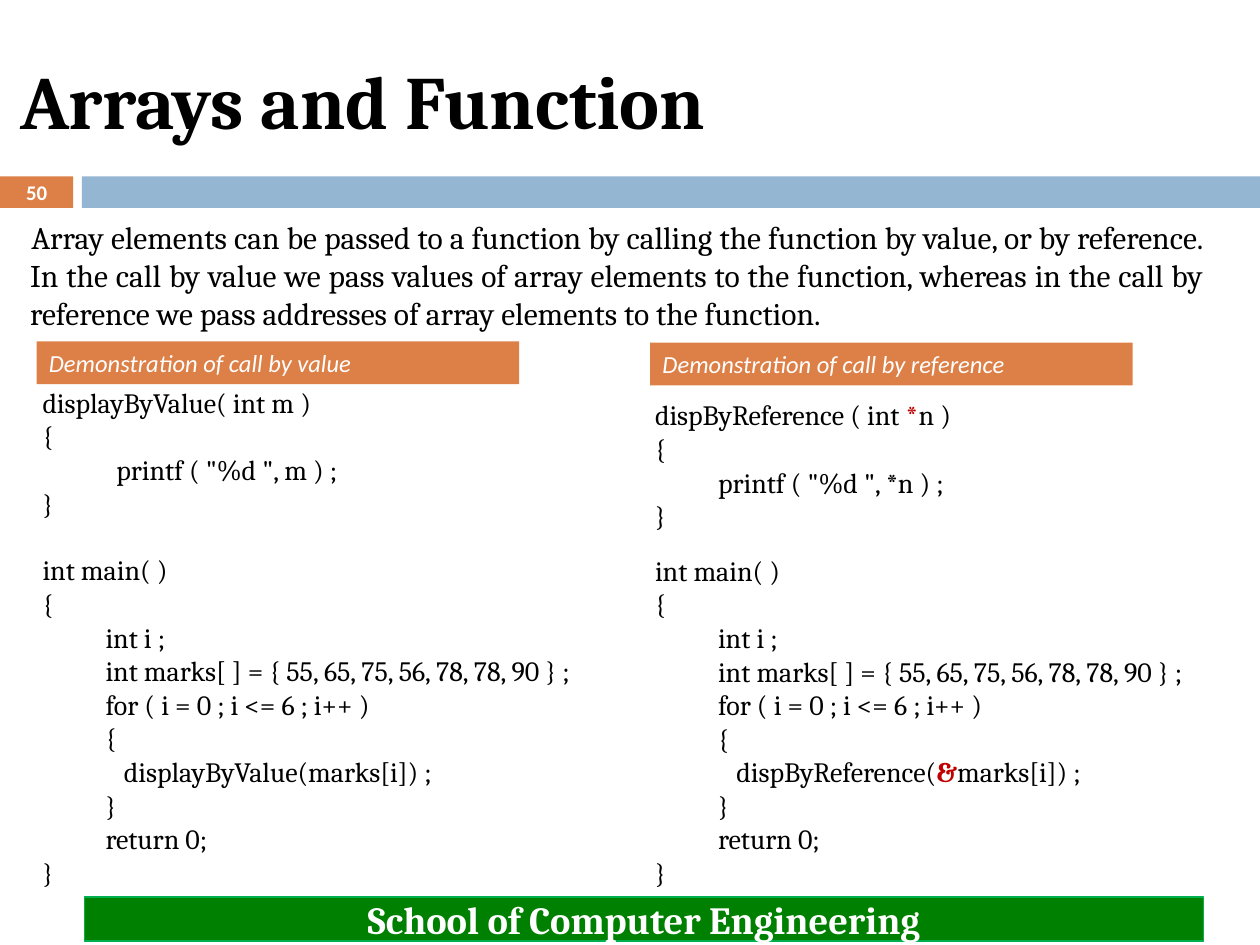
import pptx
import pptx.dml.color
import pptx.enum.shapes
import pptx.enum.text
import pptx.util

Pt = pptx.util.Pt
ALIGN = pptx.enum.text.PP_ALIGN
ANCHOR = pptx.enum.text.MSO_ANCHOR

COLORS = {
    "black": "000000",
    "white": "FFFFFF",
    "orange": "DD8047",
    "blue": "94B6D2",
    "green": "008000",
    "green_edge": "00B050",
    "red": "C00000",
}
OUTER_INDENT, INNER_INDENT, FIRST_LINE = 4.3, 40.3, 0.7


def color(name):
    return pptx.dml.color.RGBColor.from_string(COLORS[name])


def write_text(frame, text, size, font="Cambria", ink="black", bold=False, italic=False,
               align=ALIGN.LEFT, before=0, after=0, indent=None):
    """Add one paragraph; text is a string or a list of (string, is_marked) runs."""
    is_first = not frame.paragraphs[0].runs
    paragraph = frame.paragraphs[0] if is_first else frame.add_paragraph()
    paragraph.alignment = align
    paragraph.space_before = Pt(0 if is_first else before)
    paragraph.space_after = Pt(after)
    if indent is not None:
        properties = paragraph._p.get_or_add_pPr()
        properties.set("marL", str(Pt(indent)))
        properties.set("indent", str(Pt(FIRST_LINE)))
    for string, is_marked in [(text, False)] if isinstance(text, str) else text:
        run = paragraph.add_run()
        run.text = string
        run.font.name = font
        run.font.size = Pt(size)
        run.font.bold = bold or is_marked
        run.font.italic = italic
        run.font.color.rgb = color("red" if is_marked else ink)


def add_box(slide, left, top, width, height, fill, line=None):
    shape = slide.shapes.add_shape(pptx.enum.shapes.MSO_SHAPE.RECTANGLE,
                                   Pt(left), Pt(top), Pt(width), Pt(height))
    shape.shadow.inherit = False
    shape.fill.solid()
    shape.fill.fore_color.rgb = color(fill)
    if line:
        shape.line.color.rgb = color(line)
        shape.line.width = Pt(0.75)
    else:
        shape.line.fill.background()
    return shape.text_frame


def add_text_area(slide, left, top, width, height, anchor=ANCHOR.TOP):
    frame = slide.shapes.add_textbox(Pt(left), Pt(top), Pt(width), Pt(height)).text_frame
    frame.word_wrap = True
    frame.vertical_anchor = anchor
    return frame


def add_title(slide, text):
    title = slide.shapes.title
    title.left, title.top, title.width, title.height = Pt(4.3), Pt(18), Pt(642.2), Pt(77.8)
    title.text_frame.vertical_anchor = ANCHOR.MIDDLE
    write_text(title.text_frame, text, 43, bold=True)


def add_heading(slide, left, top, text):
    frame = add_box(slide, left, top, 275.8, 24.5, "orange")
    frame.vertical_anchor = ANCHOR.TOP
    write_text(frame, text, 14, font="Calibri", ink="white", italic=True)


def add_code(slide, left, top, function_lines, call, gap):
    """Write a function and the main() that calls it, parted by a gap."""
    main_body = ["int i ;", "int marks[ ] = { 55, 65, 75, 56, 78, 78, 90 } ;",
                 "for ( i = 0 ; i <= 6 ; i++ )", "{", call, "}", "return 0;"]
    main_lines = [("int main( )", OUTER_INDENT), ("{", OUTER_INDENT),
                  *[(line, INNER_INDENT) for line in main_body], ("}", OUTER_INDENT)]
    frame = add_text_area(slide, left, top, 347, 514.8 - top)
    for index, (line, indent) in enumerate(function_lines + main_lines):
        write_text(frame, line, 16, align=ALIGN.JUSTIFY, indent=indent,
                   before=gap if index == len(function_lines) else 0)


def main():
    presentation = pptx.Presentation()
    presentation.slide_width, presentation.slide_height = Pt(720), Pt(540)
    slide = presentation.slides.add_slide(presentation.slide_layouts[5])

    add_box(slide, 0, 100.8, 41.8, 18, "orange")
    add_box(slide, 46.8, 100.8, 673.2, 18, "blue")
    add_title(slide, "Arrays and Function")
    number = add_text_area(slide, 0, 100.1, 41.8, 19.4, ANCHOR.MIDDLE)
    write_text(number, "50", 11.9, font="Calibri", ink="white", bold=True, align=ALIGN.CENTER)

    footer = add_box(slide, 48.2, 512.6, 639.4, 25.2, "green", line="green_edge")
    footer.vertical_anchor = ANCHOR.MIDDLE
    write_text(footer, "School of Computer Engineering", 22, ink="white", bold=True,
               align=ALIGN.CENTER)

    introduction = add_text_area(slide, 5.8, 121, 689, 72.7)
    write_text(introduction,
               "Array elements can be passed to a function by calling the function by value, "
               "or by reference. In the call by value we pass values of array elements to the "
               "function, whereas in the call by reference we pass addresses of array elements "
               "to the function.",
               18, align=ALIGN.JUSTIFY, after=6, indent=OUTER_INDENT)

    by_value = [("displayByValue( int m )", OUTER_INDENT), ("{", OUTER_INDENT),
                ('            printf ( "%d ", m ) ;', OUTER_INDENT), ("}", OUTER_INDENT)]
    add_code(slide, 12.2, 216.7, by_value, "   displayByValue(marks[i]) ;", gap=19)
    add_heading(slide, 20.9, 195.1, "Demonstration of call by value")

    by_reference = [([("dispByReference ( int ", False), ("*", True), ("n )", False)],
                     OUTER_INDENT),
                    ("{", OUTER_INDENT), ('printf ( "%d ", *n ) ;', INNER_INDENT),
                    ("}", OUTER_INDENT)]
    reference_call = [("   dispByReference(", False), ("&", True), ("marks[i]) ;", False)]
    add_code(slide, 362.2, 223.9, by_reference, reference_call, gap=12)
    add_heading(slide, 371.5, 195.8, "Demonstration of call by reference")

    presentation.save("out.pptx")


if __name__ == "__main__":
    main()
